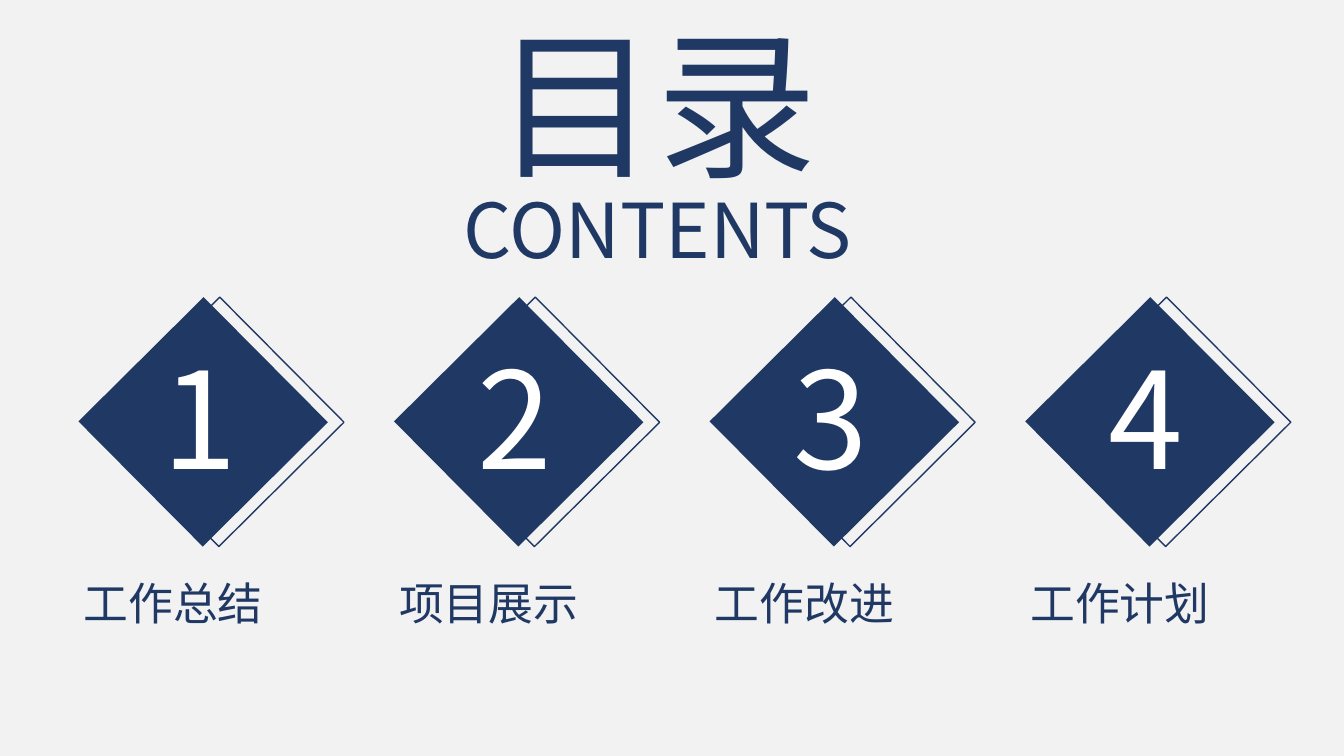
from pptx import Presentation
from pptx.dml.color import RGBColor
from pptx.enum.shapes import MSO_SHAPE
from pptx.enum.text import MSO_ANCHOR, MSO_AUTO_SIZE, PP_ALIGN
from pptx.oxml.ns import qn
from pptx.util import Emu, Pt

# One px is a hundredth of an inch
EMU_PER_PX = 9144
SLIDE_W, SLIDE_H = 1333, 750

NAVY = RGBColor(0x20, 0x38, 0x64)
WHITE = RGBColor(0xFF, 0xFF, 0xFF)
PALE_GREY = RGBColor(0xF2, 0xF2, 0xF2)
FONT = "Noto Sans CJK SC"

CHAPTERS = ["工作总结", "项目展示", "工作改进", "工作计划"]
CHAPTER_PITCH = 313
DIAMOND_SIDE = 175
DIAMOND_TURN = 45.2


def px(length):
    return Emu(length * EMU_PER_PX)


def add_text(slide, text, left, top, width, height, *, size, color=NAVY,
             wrap=True, align=None, anchor=MSO_ANCHOR.TOP, spacing=None):
    box = slide.shapes.add_textbox(px(left), px(top), px(width), px(height))
    frame = box.text_frame
    frame.word_wrap = wrap
    frame.auto_size = MSO_AUTO_SIZE.SHAPE_TO_FIT_TEXT
    frame.vertical_anchor = anchor
    paragraph = frame.paragraphs[0]
    paragraph.alignment = align
    paragraph.line_spacing = spacing
    run = paragraph.add_run()
    run.text = text
    run.font.size = Pt(size)
    run.font.name = FONT
    run.font.color.rgb = color
    # Chinese characters take the East Asian typeface
    east_asian = run.font._element.makeelement(qn("a:ea"), {"typeface": FONT})
    run.font._element.find(qn("a:latin")).addnext(east_asian)


def add_diamond(slide, left, top, *, filled):
    diamond = slide.shapes.add_shape(
        MSO_SHAPE.RECTANGLE, px(left), px(top), px(DIAMOND_SIDE), px(DIAMOND_SIDE))
    diamond.rotation = DIAMOND_TURN
    diamond.shadow.inherit = False
    if filled:
        diamond.fill.solid()
        diamond.fill.fore_color.rgb = NAVY
        diamond.line.fill.background()
    else:
        diamond.fill.background()
        diamond.line.color.rgb = NAVY
        diamond.line.width = Pt(1)


def add_chapter(slide, number, title):
    shift = (number - 1) * CHAPTER_PITCH
    add_diamond(slide, 130 + shift, 331, filled=False)
    add_diamond(slide, 114 + shift, 331, filled=True)
    add_text(slide, str(number), 151 + shift, 328, 102, 172,
             size=96, color=WHITE, wrap=False)
    add_text(slide, title, 73 + shift, 576, 247, 54, size=32,
             align=PP_ALIGN.JUSTIFY, anchor=MSO_ANCHOR.MIDDLE, spacing=0.8)


def main():
    deck = Presentation()
    deck.slide_width, deck.slide_height = px(SLIDE_W), px(SLIDE_H)
    slide = deck.slides.add_slide(deck.slide_layouts[6])
    slide.background.fill.solid()
    slide.background.fill.fore_color.rgb = PALE_GREY

    # Heading
    add_text(slide, "CONTENTS", 450, 177, 434, 101, size=54, wrap=False)
    add_text(slide, "目录", 482, 0, 369, 204, size=115, align=PP_ALIGN.JUSTIFY)

    # Numbered chapters
    for number, title in enumerate(CHAPTERS, start=1):
        add_chapter(slide, number, title)

    deck.save("out.pptx")


if __name__ == "__main__":
    main()
